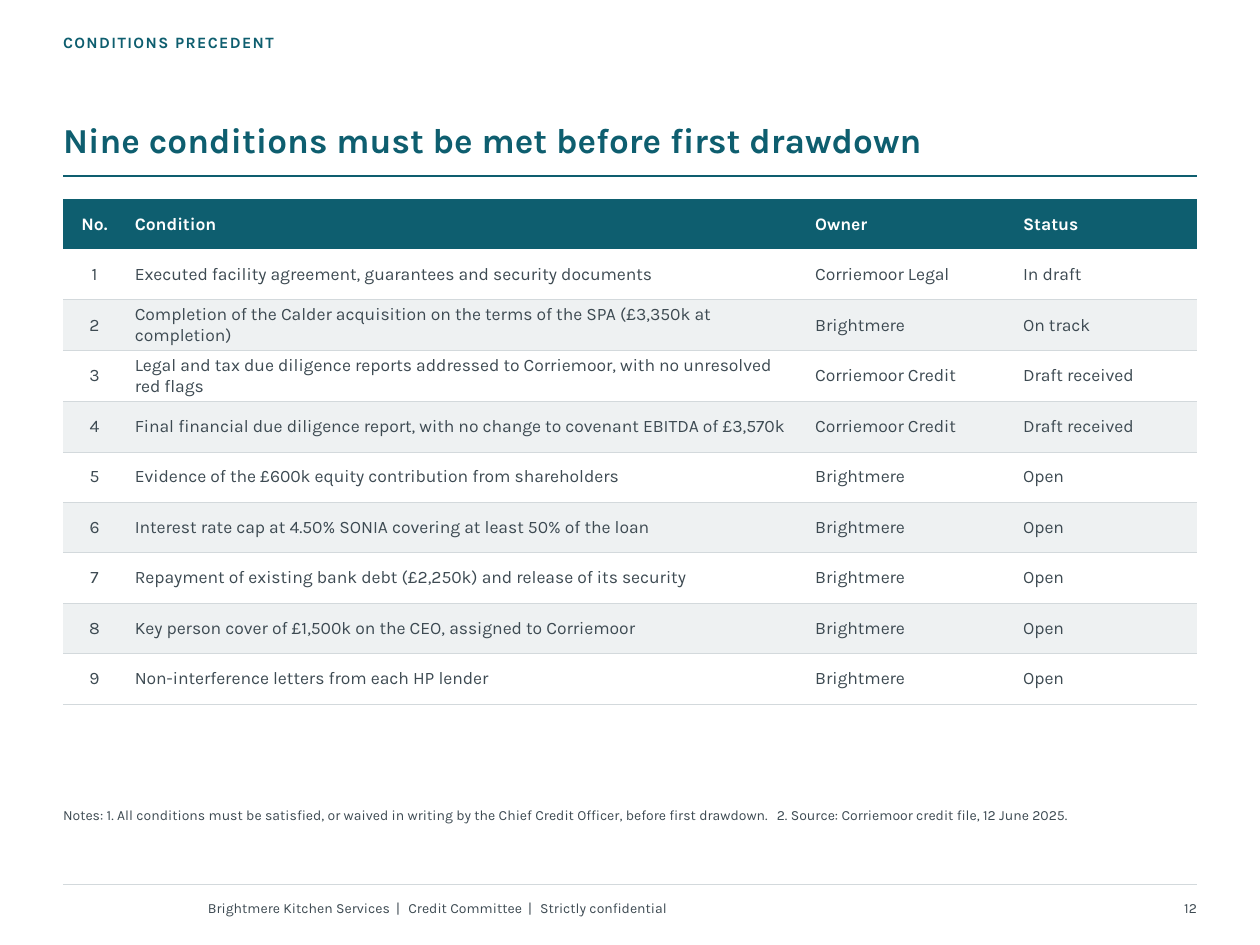
from lxml import etree
from pptx import Presentation, util as u
from pptx.dml.color import RGBColor
from pptx.enum import shapes, text
from pptx.oxml.ns import qn

FONT = "Karla"
TEAL, INK, RULE, BAND, WHITE = "0E5E6F", "3D4A52", "D3D9DC", "EEF1F2", "FFFFFF"
PLAIN_TABLE = "{2D5ABB26-0587-4C30-8999-92F81FD0307C}"
COMPARISON_LAYOUT = 4

SECTION = "CONDITIONS PRECEDENT"
TITLE = "Nine conditions must be met before first drawdown"
HEADINGS = ("No.", "Condition", "Owner", "Status")
CONDITIONS = [
    ("Executed facility agreement, guarantees and security documents", "Corriemoor Legal", "In draft"),
    ("Completion of the Calder acquisition on the terms of the SPA (£3,350k at completion)",
     "Brightmere", "On track"),
    ("Legal and tax due diligence reports addressed to Corriemoor, with no unresolved red flags",
     "Corriemoor Credit", "Draft received"),
    ("Final financial due diligence report, with no change to covenant EBITDA of £3,570k",
     "Corriemoor Credit", "Draft received"),
    ("Evidence of the £600k equity contribution from shareholders", "Brightmere", "Open"),
    ("Interest rate cap at 4.50% SONIA covering at least 50% of the loan", "Brightmere", "Open"),
    ("Repayment of existing bank debt (£2,250k) and release of its security", "Brightmere", "Open"),
    ("Key person cover of £1,500k on the CEO, assigned to Corriemoor", "Brightmere", "Open"),
    ("Non-interference letters from each HP lender", "Brightmere", "Open"),
]
NOTES = [
    "Notes: 1. All conditions must be satisfied, or waived in writing by the Chief Credit Officer, "
    "before first drawdown.",
    "2. Source: Corriemoor credit file, 12 June 2025.",
]
FOOTER = ["Brightmere Kitchen Services", "Credit Committee", "Strictly confidential"]
PAGE = "12"

WIDTH, HEIGHT, MARGIN = 10, 7.5, 0.5
CONTENT = WIDTH - 2 * MARGIN
COLUMNS = (0.5, 5.4, 1.65, 1.45)
ROW = 0.4
FOOTER_TOP, FOOTER_HEIGHT = 7.08, 0.26


def rgb(colour):
    return RGBColor.from_string(colour)


def add_run(paragraph, words, size, colour, bold=False, tracking=0):
    """Add one run; tracking is extra letter spacing in points."""
    run = paragraph.add_run()
    run.text = words
    font = run.font
    font.name, font.size, font.bold = FONT, u.Pt(size), bold
    font.color.rgb = rgb(colour)
    if tracking:
        font._element.set("spc", str(round(tracking * 100)))


def add_joined(paragraph, parts, separator, tracking):
    """Join parts with a separator widened by tracking."""
    for i, part in enumerate(parts):
        if i:
            add_run(paragraph, separator, 8, INK, tracking=tracking)
        add_run(paragraph, part, 8, INK)


def prepare(box, at, insets=(0, 0, 0, 0), anchor=text.MSO_ANCHOR.TOP, align=text.PP_ALIGN.LEFT):
    """Place a text shape and return its first paragraph."""
    box.left, box.top, box.width, box.height = map(u.Inches, at)
    frame = box.text_frame
    frame.word_wrap, frame.auto_size = True, text.MSO_AUTO_SIZE.NONE
    frame.vertical_anchor = anchor
    (frame.margin_left, frame.margin_top,
     frame.margin_right, frame.margin_bottom) = map(u.Inches, insets)
    paragraph = frame.paragraphs[0]
    paragraph.alignment, paragraph.space_before = align, u.Pt(0)
    return paragraph


def add_rule(slide, y, colour, weight):
    left, right, top = u.Inches(MARGIN), u.Inches(WIDTH - MARGIN), u.Inches(y)
    rule = slide.shapes.add_connector(shapes.MSO_CONNECTOR.STRAIGHT, left, top, right, top)
    rule.line.color.rgb, rule.line.width = rgb(colour), u.Pt(weight)
    etree.SubElement(rule._element.spPr, qn("a:effectLst"))


def add_bottom_border(cell, colour, weight):
    line = etree.SubElement(cell._tc.get_or_add_tcPr(), qn("a:lnB"), w=str(u.Pt(weight)))
    fill = etree.SubElement(line, qn("a:solidFill"))
    etree.SubElement(fill, qn("a:srgbClr"), val=colour)


def fill_cell(cell, words, row, column):
    header = row == 0
    cell.margin_left = cell.margin_right = u.Inches(0.07)
    cell.margin_top = cell.margin_bottom = u.Inches(0.04)
    cell.vertical_anchor = text.MSO_ANCHOR.MIDDLE
    if not header:
        add_bottom_border(cell, RULE, 0.5)
    cell.fill.solid()
    cell.fill.fore_color.rgb = rgb(TEAL if header else WHITE if row % 2 else BAND)
    paragraph = cell.text_frame.paragraphs[0]
    paragraph.alignment = text.PP_ALIGN.LEFT if column else text.PP_ALIGN.CENTER
    add_run(paragraph, words, 10, WHITE if header else INK, bold=header)


def add_conditions(slide):
    rows = [HEADINGS] + [(str(n), *item) for n, item in enumerate(CONDITIONS, 1)]
    table = slide.shapes.add_table(
        len(rows), len(COLUMNS), u.Inches(MARGIN), u.Inches(1.58),
        u.Inches(CONTENT), u.Inches(ROW * len(rows))).table
    table._tbl.tblPr.find(qn("a:tableStyleId")).text = PLAIN_TABLE
    for column, width in zip(table.columns, COLUMNS):
        column.width = u.Inches(width)
    for r, row in enumerate(rows):
        for c, words in enumerate(row):
            fill_cell(table.cell(r, c), words, r, c)


def main():
    deck = Presentation()
    deck.slide_width, deck.slide_height = u.Inches(WIDTH), u.Inches(HEIGHT)
    slide = deck.slides.add_slide(deck.slide_layouts[COMPARISON_LAYOUT])
    holders = {holder.placeholder_format.idx: holder for holder in slide.placeholders}
    for unused in (2, 4):
        holders[unused]._element.getparent().remove(holders[unused]._element)

    add_rule(slide, 7.02, RULE, 0.75)
    add_rule(slide, 1.4, TEAL, 1.25)

    section = prepare(holders[1], (MARGIN, 0.26, 7, 0.24))
    add_run(section, SECTION, 9, TEAL, bold=True, tracking=0.8)

    title = prepare(slide.shapes.title, (MARGIN, 0.5, CONTENT, 0.82),
                    (0, 0, 0, 0.04), text.MSO_ANCHOR.BOTTOM)
    title.line_spacing = 0.92
    add_run(title, TITLE, 20, TEAL, bold=True)

    add_conditions(slide)

    notes = prepare(holders[3], (MARGIN, 6.4, CONTENT, 0.58))
    add_joined(notes, NOTES, " ", 2)

    footer = prepare(slide.shapes.add_textbox(0, 0, 0, 0), (1.65, FOOTER_TOP, 5.6, FOOTER_HEIGHT),
                     (0, 0.05, 0.1, 0.05), text.MSO_ANCHOR.MIDDLE)
    add_joined(footer, FOOTER, " | ", 1.4)

    page = prepare(slide.shapes.add_textbox(0, 0, 0, 0),
                   (WIDTH - MARGIN - 1, FOOTER_TOP, 1, FOOTER_HEIGHT),
                   (0.1, 0.05, 0, 0.05), text.MSO_ANCHOR.MIDDLE, text.PP_ALIGN.RIGHT)
    add_run(page, PAGE, 8, INK)

    deck.save("out.pptx")


if __name__ == "__main__":
    main()
